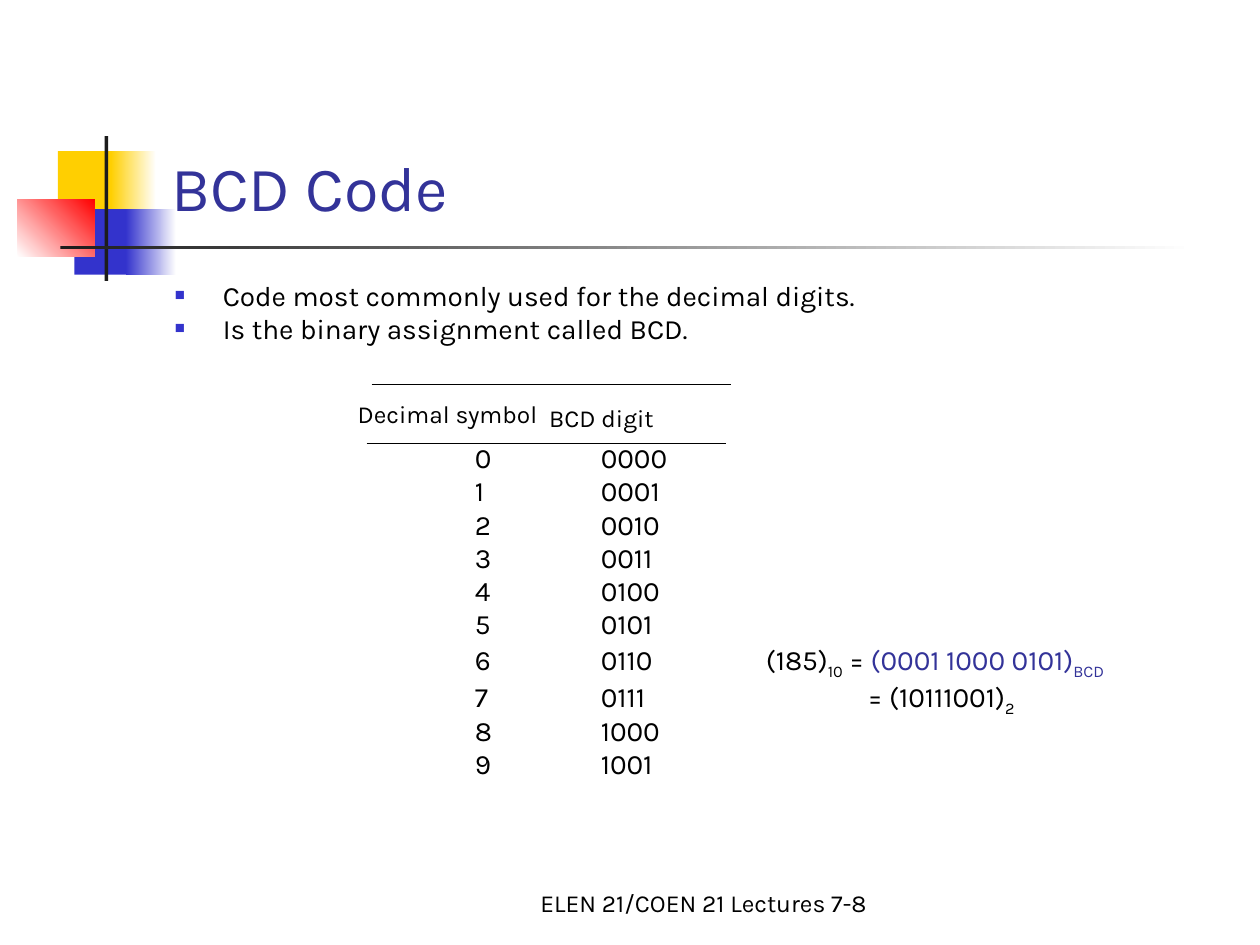
from lxml import etree
from pptx import Presentation
from pptx.dml.color import RGBColor
from pptx.enum.shapes import MSO_CONNECTOR, MSO_SHAPE
from pptx.enum.text import MSO_ANCHOR, PP_ALIGN
from pptx.oxml.ns import qn
from pptx.util import Inches, Pt

RECTANGLE = MSO_SHAPE.RECTANGLE
STRAIGHT = MSO_CONNECTOR.STRAIGHT
TOP, BOTTOM = MSO_ANCHOR.TOP, MSO_ANCHOR.BOTTOM
LEFT, CENTER = PP_ALIGN.LEFT, PP_ALIGN.CENTER

FONT = "Karla"
BLACK = RGBColor(0x00, 0x00, 0x00)
WHITE = RGBColor(0xFF, 0xFF, 0xFF)
CHARCOAL = RGBColor(0x1C, 0x1C, 0x1C)
YELLOW = RGBColor(0xFF, 0xCF, 0x01)
BLUE = RGBColor(0x33, 0x33, 0xCC)
RED = RGBColor(0xFF, 0x00, 0x00)
INDIGO = RGBColor(0x33, 0x33, 0x99)

# Left, top, width, height, colours (two make a gradient), gradient angle
DECORATION = [
    (0.46, 1.2, 0.48, 0.52, [YELLOW], 0),
    (0.88, 1.2, 0.36, 0.52, [YELLOW, WHITE], 0),
    (0.59, 1.66, 0.46, 0.52, [BLUE], 0),
    (1, 1.66, 0.4, 0.52, [BLUE, WHITE], 0),
    (0.14, 1.58, 0.61, 0.46, [WHITE, RED], 45),
    (0.83, 1.08, 0.03, 1.15, [CHARCOAL], 0),
    (0.48, 1.95, 9, 0.03, [CHARCOAL, WHITE], 0),
]
STATEMENTS = [
    "Code most commonly used for the decimal digits.",
    "Is the binary assignment called BCD.",
]
# Text, colour and whether it is a subscript, for the rows with an example
EXAMPLES = {
    6: [("\t(185)", BLACK, False), ("10", BLACK, True), (" = ", BLACK, False),
        ("(0001 1000 0101)", INDIGO, False), ("BCD", INDIGO, True)],
    7: [("\t\t= (10111001)", BLACK, False), ("2", BLACK, True)],
}
CODE_TABS = [1, 2.31, 3.12]


def add_rectangle(slide, left, top, width, height, colors, angle):
    rectangle = slide.shapes.add_shape(
        RECTANGLE, Inches(left), Inches(top), Inches(width), Inches(height))
    rectangle.shadow.inherit = False
    rectangle.line.fill.background()
    fill = rectangle.fill
    if len(colors) == 1:
        fill.solid()
        fill.fore_color.rgb = colors[0]
    else:
        fill.gradient()
        fill.gradient_angle = angle
        for stop, color in zip(fill.gradient_stops, colors):
            stop.color.rgb = color


def add_rule(slide, left, top, width):
    rule = slide.shapes.add_connector(
        STRAIGHT, Inches(left), Inches(top), Inches(left + width), Inches(top))
    rule.line.color.rgb = BLACK
    rule.line.width = Pt(0.75)
    etree.SubElement(rule._element.spPr, qn("a:effectLst"))


def add_frame(slide, left, top, width, height, anchor=TOP):
    box = slide.shapes.add_textbox(
        Inches(left), Inches(top), Inches(width), Inches(height))
    frame = box.text_frame
    frame.word_wrap = True
    frame.vertical_anchor = anchor
    return frame


def style_run(run, size, color):
    run.font.name = FONT
    run.font.size = Pt(size)
    run.font.color.rgb = color


def add_label(slide, text, bounds, size, color=BLACK, anchor=TOP, align=LEFT):
    paragraph = add_frame(slide, *bounds, anchor).paragraphs[0]
    paragraph.text = text
    paragraph.alignment = align
    style_run(paragraph.runs[0], size, color)


def add_body_paragraph(frame, index):
    """Return the next tightly spaced paragraph; the first has no space before."""
    paragraph = frame.add_paragraph() if index else frame.paragraphs[0]
    paragraph.line_spacing = 0.8
    if index:
        paragraph.space_before = Pt(3.6)
    return paragraph


def set_bullet(paragraph):
    properties = paragraph._p.get_or_add_pPr()
    properties.set("marL", str(Inches(0.38)))
    properties.set("indent", str(-Inches(0.38)))
    color = etree.SubElement(properties, qn("a:buClr"))
    etree.SubElement(color, qn("a:srgbClr"), val=str(BLUE))
    etree.SubElement(properties, qn("a:buSzPct"), val="60000")
    etree.SubElement(properties, qn("a:buFont"), typeface="Arial")
    etree.SubElement(properties, qn("a:buChar"), char="■")


def set_tabs(paragraph, positions):
    tabs = etree.SubElement(paragraph._p.get_or_add_pPr(), qn("a:tabLst"))
    for position in positions:
        etree.SubElement(tabs, qn("a:tab"), pos=str(Inches(position)), algn="l")


def add_statements(slide):
    frame = add_frame(slide, 1.29, 2.21, 8.5, 0.65)
    for index, statement in enumerate(STATEMENTS):
        paragraph = add_body_paragraph(frame, index)
        set_bullet(paragraph)
        run = paragraph.add_run()
        run.text = statement
        style_run(run, 16, BLACK)


def add_code_rows(slide):
    frame = add_frame(slide, 3.67, 3.5, 6.12, 2.75)
    for digit in range(10):
        paragraph = add_body_paragraph(frame, digit)
        set_tabs(paragraph, CODE_TABS)
        pieces = [(f"{digit}\t{digit:04b}", BLACK, False)]
        for text, color, is_subscript in pieces + EXAMPLES.get(digit, []):
            run = paragraph.add_run()
            run.text = text
            style_run(run, 16, color)
            if is_subscript:
                run._r.get_or_add_rPr().set("baseline", "-25000")


def main():
    presentation = Presentation()
    presentation.slide_width = Inches(10)
    presentation.slide_height = Inches(7.5)
    slide = presentation.slides.add_slide(presentation.slide_layouts[6])

    for part in DECORATION:
        add_rectangle(slide, *part)
    add_label(slide, "ELEN 21/COEN 21 Lectures 7-8", (4, 6.83, 3.17, 0.5), 14,
              anchor=BOTTOM, align=CENTER)
    add_label(slide, "BCD Code", (1.26, 0.23, 8.52, 1.6), 36, INDIGO, BOTTOM)
    add_statements(slide)
    add_code_rows(slide)
    add_rule(slide, 2.95, 3.05, 2.85)
    add_rule(slide, 2.91, 3.52, 2.85)
    add_label(slide, "Decimal symbol", (2.74, 3.12, 1.88, 0.33), 14)
    add_label(slide, "BCD digit", (4.26, 3.15, 1.88, 0.33), 14)

    presentation.save("out.pptx")


if __name__ == "__main__":
    main()
